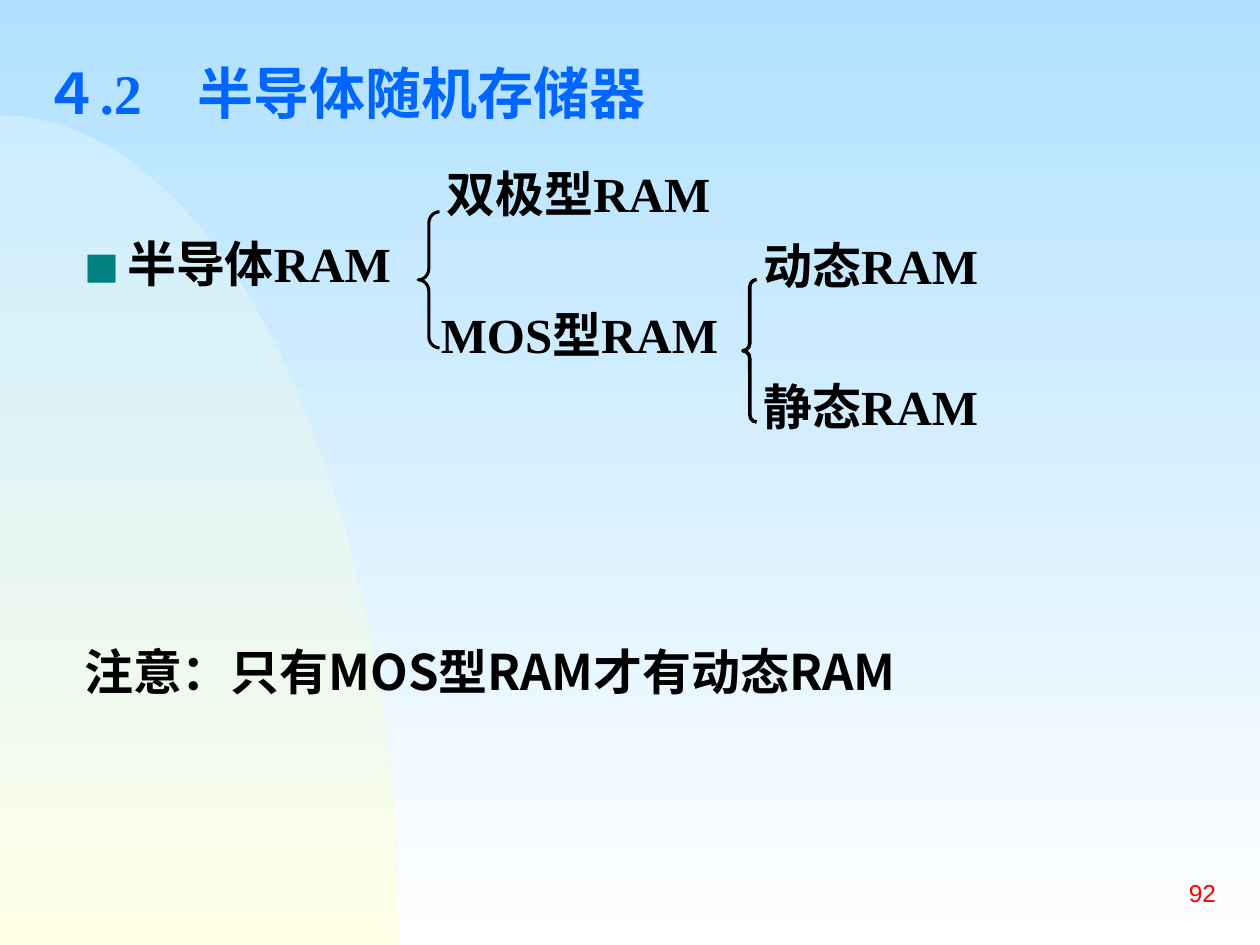
from dataclasses import dataclass
from math import cos, pi, sin

from lxml.etree import SubElement
from pptx import Presentation
from pptx.dml.color import RGBColor
from pptx.enum.shapes import MSO_SHAPE as SHAPE
from pptx.enum.text import MSO_ANCHOR as ANCHOR, PP_ALIGN as ALIGN
from pptx.oxml.ns import qn
from pptx.util import Pt

BLACK = RGBColor(0x00, 0x00, 0x00)
BLUE = RGBColor(0x00, 0x66, 0xFF)
TEAL = RGBColor(0x00, 0x80, 0x80)
RED = RGBColor(0xFF, 0x00, 0x00)
SKY = RGBColor(0xB1, 0xE1, 0xFF)
WHITE = RGBColor(0xFF, 0xFF, 0xFF)
PALE_BLUE = RGBColor(0xCC, 0xEC, 0xFF)
CREAM = RGBColor(0xFF, 0xFF, 0xE7)

SERIF, CJK, SANS = "Times New Roman", "Noto Sans CJK SC", "Arial"
SLIDE_W, SLIDE_H = 720, 540
LABEL_H = 31


@dataclass
class Run:
    text: str
    size: float = 28
    font: str = SERIF
    color: RGBColor = BLACK
    bold: bool = True


@dataclass
class Label:
    left: float
    top: float
    width: float
    runs: list[Run]
    height: float = LABEL_H
    spacing: float = 0.7
    anchor: ANCHOR = ANCHOR.TOP
    align: ALIGN = ALIGN.LEFT
    tab: float = 0


@dataclass
class Brace:
    left: float
    top: float
    width: float
    height: float
    weight: float


LABELS = [
    Label(18, 31.7, 468, [Run("４.2\t半导体随机存储器", 32, color=BLUE)],
          height=42, spacing=1, anchor=ANCHOR.MIDDLE, tab=88),
    Label(41, 139.2, 240, [Run("■ ", 20, CJK, TEAL), Run("半导体RAM")]),
    Label(248.2, 99.2, 180, [Run("双极型RAM")]),
    Label(244.8, 179.6, 194, [Run("MOS型RAM")]),
    Label(429.1, 220.6, 150, [Run("静态RAM")]),
    Label(429.1, 140, 150, [Run("动态RAM")]),
    Label(41, 372.2, 613.4, [Run("注意：只有MOS型RAM才有动态RAM", font=CJK)]),
    Label(552.2, 492, 149.8, [Run("92", 14, SANS, RED, False)],
          height=36, spacing=1, anchor=ANCHOR.MIDDLE, align=ALIGN.RIGHT),
]

BRACES = [
    Brace(239, 121, 12.2, 77.8, 1.75),
    Brace(424.5, 159.8, 7.9, 81.4, 2),
]


def fill_down(fill, top: RGBColor, bottom: RGBColor) -> None:
    fill.gradient()
    fill.gradient_angle = 270
    for stop, color in zip(fill.gradient_stops, (top, bottom)):
        stop.color.rgb = color


def add_quarter_ellipse(s, width: float, height: float, steps: int = 90) -> None:
    angles = [i * pi / 2 / steps for i in range(steps + 1)]
    arc = [(Pt(width * sin(a)), Pt(SLIDE_H - height * cos(a))) for a in angles]
    builder = s.shapes.build_freeform(*arc[0])
    builder.add_line_segments(arc[1:] + [(0, Pt(SLIDE_H))], close=True)
    sp = builder.convert_to_shape()
    sp.shadow.inherit = False
    sp.line.fill.background()
    fill_down(sp.fill, PALE_BLUE, CREAM)


def add_run(p, run: Run) -> None:
    r = p.add_run()
    r.text = run.text
    formats = {"size": Pt(run.size), "name": run.font, "bold": run.bold}
    for key, value in formats.items():
        setattr(r.font, key, value)
    r.font.color.rgb = run.color
    SubElement(r.font._element, qn("a:ea"), typeface=CJK)


def add_label(s, label: Label) -> None:
    box = (label.left, label.top, label.width, label.height)
    tf = s.shapes.add_textbox(*map(Pt, box)).text_frame
    tf.word_wrap = True
    tf.vertical_anchor = label.anchor
    p = tf.paragraphs[0]
    for key, value in {"alignment": label.align, "line_spacing": label.spacing}.items():
        setattr(p, key, value)
    if label.tab:
        tabs = SubElement(p._p.get_or_add_pPr(), qn("a:tabLst"))
        SubElement(tabs, qn("a:tab"), pos=str(Pt(label.tab)), algn="l")
    for run in label.runs:
        add_run(p, run)


def add_brace(s, brace: Brace) -> None:
    box = (brace.left, brace.top, brace.width, brace.height)
    sp = s.shapes.add_shape(SHAPE.LEFT_BRACE, *map(Pt, box))
    sp.shadow.inherit = False
    sp.adjustments[0] = 0.53
    sp.fill.background()
    sp.line.color.rgb = BLACK
    sp.line.width = Pt(brace.weight)


def main() -> None:
    prs = Presentation()
    prs.slide_width, prs.slide_height = Pt(SLIDE_W), Pt(SLIDE_H)
    s = prs.slides.add_slide(prs.slide_layouts[6])
    fill_down(s.background.fill, SKY, WHITE)
    add_quarter_ellipse(s, 228, 474)
    for label in LABELS:
        add_label(s, label)
    for brace in BRACES:
        add_brace(s, brace)
    prs.save("out.pptx")


if __name__ == "__main__":
    main()
